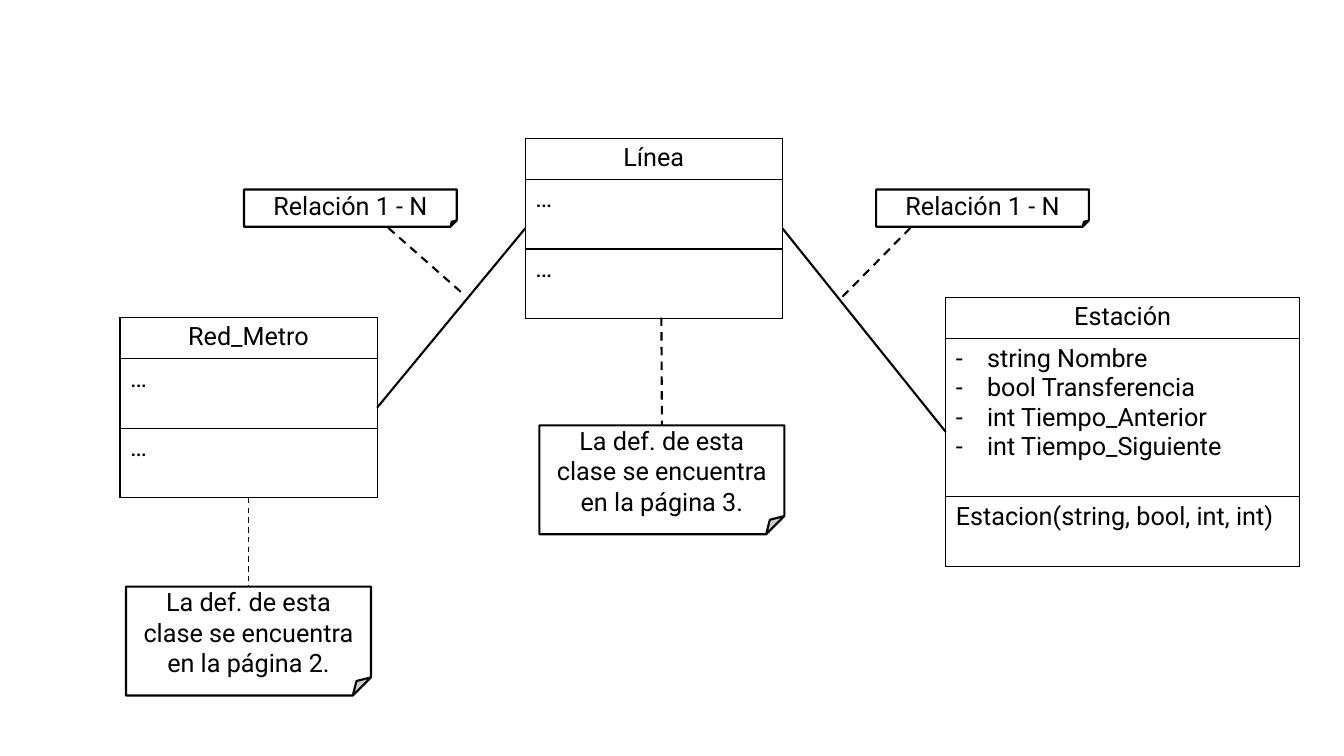
from dataclasses import dataclass

from lxml import etree
from pptx import Presentation
from pptx.dml.color import RGBColor
from pptx.enum.dml import MSO_LINE
from pptx.enum.shapes import MSO_CONNECTOR, MSO_SHAPE
from pptx.enum.text import MSO_ANCHOR, PP_ALIGN
from pptx.oxml.ns import qn
from pptx.shapes.autoshape import Shape
from pptx.shapes.connector import Connector
from pptx.shapes.graphfrm import GraphicFrame
from pptx.slide import Slide
from pptx.table import _Cell
from pptx.text.text import _Paragraph
from pptx.util import Inches, Pt

STRAIGHT = MSO_CONNECTOR.STRAIGHT
FOLDED_CORNER = MSO_SHAPE.FOLDED_CORNER
DASH = MSO_LINE.DASH
CENTER, LEFT = PP_ALIGN.CENTER, PP_ALIGN.LEFT
MIDDLE = MSO_ANCHOR.MIDDLE
TOP_SIDE, LEFT_SIDE, BOTTOM_SIDE, RIGHT_SIDE = range(4)


@dataclass(frozen=True)
class Theme:
    font: str = "Roboto"
    size: float = 18
    ink: RGBColor = RGBColor(0, 0, 0)
    paper: RGBColor = RGBColor(255, 255, 255)
    thin: float = 1
    thick: float = 1.5


@dataclass(frozen=True)
class ClassBox:
    name: str
    left: float
    top: float
    width: float = 2.55
    attributes: tuple[str, ...] = ()
    methods: str = "…"
    attributes_height: float = 0.69


@dataclass(frozen=True)
class Note:
    text: str
    left: float
    top: float
    width: float
    height: float


@dataclass(frozen=True)
class Link:
    start: tuple[float, float]
    end: tuple[float, float]
    weight: float
    dashed: bool = False


THEME = Theme()
TITLE_HEIGHT, METHODS_HEIGHT = 0.41, 0.69
BULLET_INDENT = Inches(0.31)

NETWORK = ClassBox("Red_Metro", 1.19, 3.15)
LINE = ClassBox("Línea", 5.21, 1.37)
STATION = ClassBox(
    "Estación", 9.38, 2.95, 3.51,
    ("string Nombre", "bool Transferencia", "int Tiempo_Anterior", "int Tiempo_Siguiente"),
    "Estacion(string, bool, int, int)", 1.57,
)

DEFINITION = "La def. de esta clase se encuentra en la página {}."
NETWORK_NOTE = Note(DEFINITION.format(2), 1.25, 5.82, 2.43, 1.08)
LINE_NOTE = Note(DEFINITION.format(3), 5.35, 4.22, 2.43, 1.08)
RELATION_NOTES = [Note("Relación 1 - N", left, 1.88, 2.11, 0.37) for left in (8.69, 2.42)]

NETWORK_TO_LINE = Link((3.74, 4.04), (5.21, 2.26), THEME.thick)
LINE_TO_STATION = Link((7.76, 2.26), (9.38, 4.3), THEME.thick)
NETWORK_TO_NOTE = Link((2.46, 4.93), (2.46, 5.82), THEME.thin, True)
LINE_TO_NOTE = Link((6.56, 3.15), (6.56, 4.22), THEME.thick, True)
RELATION_LINKS = [
    Link((9.03, 2.26), (8.35, 2.95), THEME.thick, True),
    Link((3.85, 2.26), (4.61, 2.93), THEME.thick, True),
]


def write(para: _Paragraph, text: str, align: PP_ALIGN = LEFT) -> None:
    para.alignment = align
    span = para.add_run()
    span.text = text
    span.font.name = THEME.font
    span.font.size = Pt(THEME.size)
    span.font.bold = False
    span.font.color.rgb = THEME.ink


def add_dash_bullet(para: _Paragraph) -> None:
    properties = para._p.get_or_add_pPr()
    properties.set("marL", str(BULLET_INDENT))
    properties.set("indent", str(-BULLET_INDENT))
    etree.SubElement(properties, qn("a:buFont"), typeface=THEME.font)
    etree.SubElement(properties, qn("a:buChar"), char="-")


def style_cell(cell: _Cell) -> None:
    """Give the cell a thin border on all sides and no fill."""
    properties = cell._tc.get_or_add_tcPr()
    for side in ("lnL", "lnR", "lnT", "lnB"):
        border = etree.SubElement(properties, qn(f"a:{side}"), w=str(Pt(THEME.thin)))
        fill = etree.SubElement(border, qn("a:solidFill"))
        etree.SubElement(fill, qn("a:srgbClr"), val=str(THEME.ink))
    cell.fill.background()


def add_class_box(page: Slide, box: ClassBox) -> GraphicFrame:
    heights = (TITLE_HEIGHT, box.attributes_height, METHODS_HEIGHT)
    frame = page.shapes.add_table(
        len(heights), 1, Inches(box.left), Inches(box.top),
        Inches(box.width), Inches(sum(heights)),
    )
    table = frame.table
    table.first_row = False
    table.horz_banding = False
    for row, height in zip(table.rows, heights):
        row.height = Inches(height)
        style_cell(row.cells[0])
    title, attributes, methods = (row.cells[0].text_frame for row in table.rows)
    write(title.paragraphs[0], box.name, CENTER)
    for index, attribute in enumerate(box.attributes or ("…",)):
        para = attributes.add_paragraph() if index else attributes.paragraphs[0]
        write(para, attribute)
        if box.attributes:
            add_dash_bullet(para)
    write(methods.paragraphs[0], box.methods)
    return frame


def add_note(page: Slide, note: Note) -> Shape:
    shape = page.shapes.add_shape(
        FOLDED_CORNER, Inches(note.left), Inches(note.top),
        Inches(note.width), Inches(note.height),
    )
    shape.shadow.inherit = False
    shape.fill.solid()
    shape.fill.fore_color.rgb = THEME.paper
    shape.line.color.rgb = THEME.ink
    shape.line.width = Pt(THEME.thick)
    shape.text_frame.word_wrap = True
    shape.text_frame.vertical_anchor = MIDDLE
    write(shape.text_frame.paragraphs[0], note.text, CENTER)
    return shape


def add_link(page: Slide, link: Link) -> Connector:
    points = (Inches(value) for value in link.start + link.end)
    connector = page.shapes.add_connector(STRAIGHT, *points)
    connector.line.color.rgb = THEME.ink
    connector.line.width = Pt(link.weight)
    if link.dashed:
        connector.line.dash_style = DASH
    etree.SubElement(connector._element.spPr, qn("a:effectLst"))
    return connector


def main() -> None:
    deck = Presentation()
    deck.slide_width, deck.slide_height = Inches(13.33), Inches(7.5)
    page = deck.slides.add_slide(deck.slide_layouts[6])

    network, line, station = (add_class_box(page, box) for box in (NETWORK, LINE, STATION))
    for link, first, second in (
        (NETWORK_TO_LINE, network, line),
        (LINE_TO_STATION, line, station),
    ):
        association = add_link(page, link)
        association.begin_connect(first, RIGHT_SIDE)
        association.end_connect(second, LEFT_SIDE)

    network_note, line_note = (add_note(page, note) for note in (NETWORK_NOTE, LINE_NOTE))
    network_link = add_link(page, NETWORK_TO_NOTE)
    network_link.begin_connect(network, BOTTOM_SIDE)
    network_link.end_connect(network_note, TOP_SIDE)
    add_link(page, LINE_TO_NOTE).end_connect(line_note, TOP_SIDE)
    for link in RELATION_LINKS:
        add_link(page, link)
    for note in RELATION_NOTES:
        add_note(page, note)

    deck.save("out.pptx")


if __name__ == "__main__":
    main()
